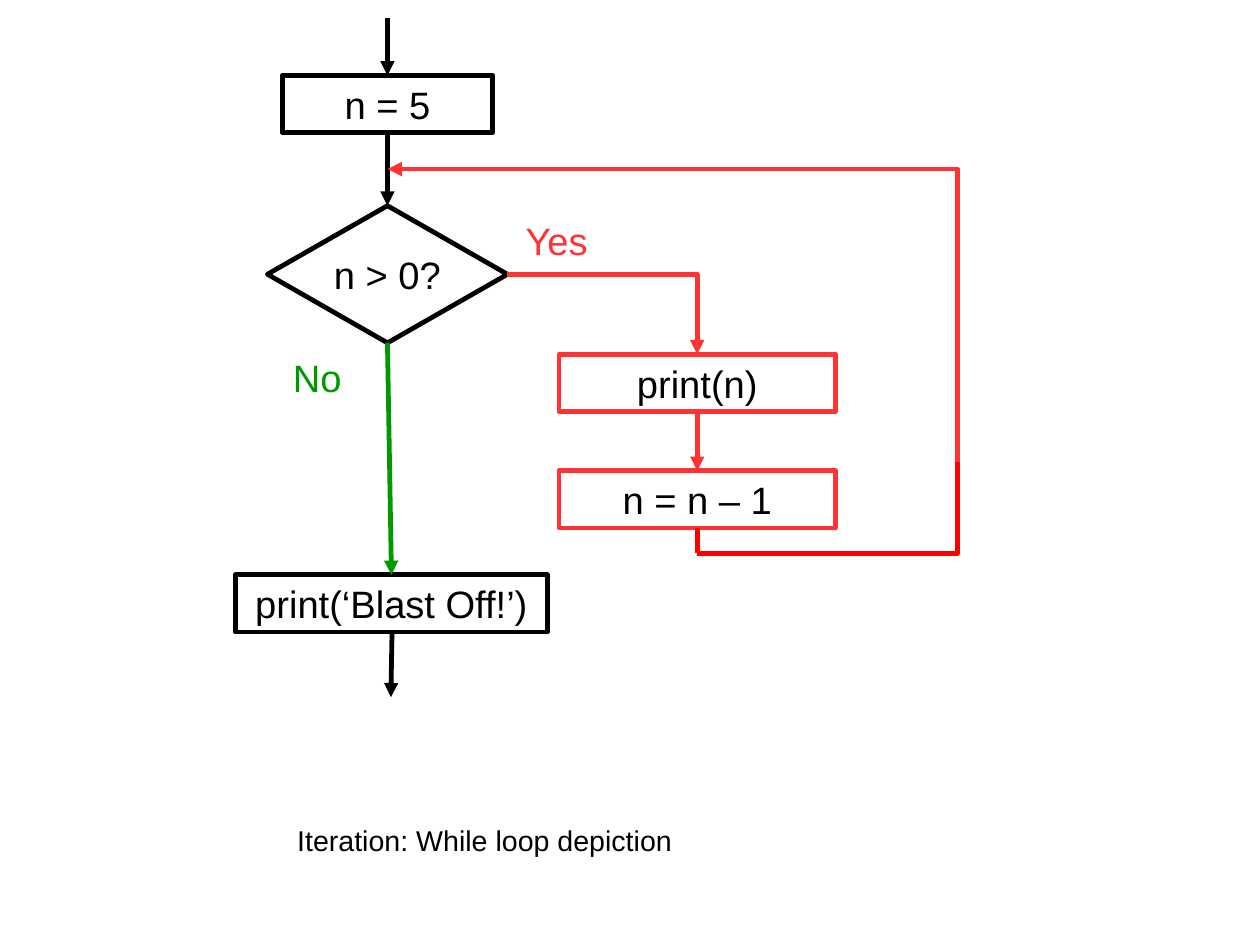
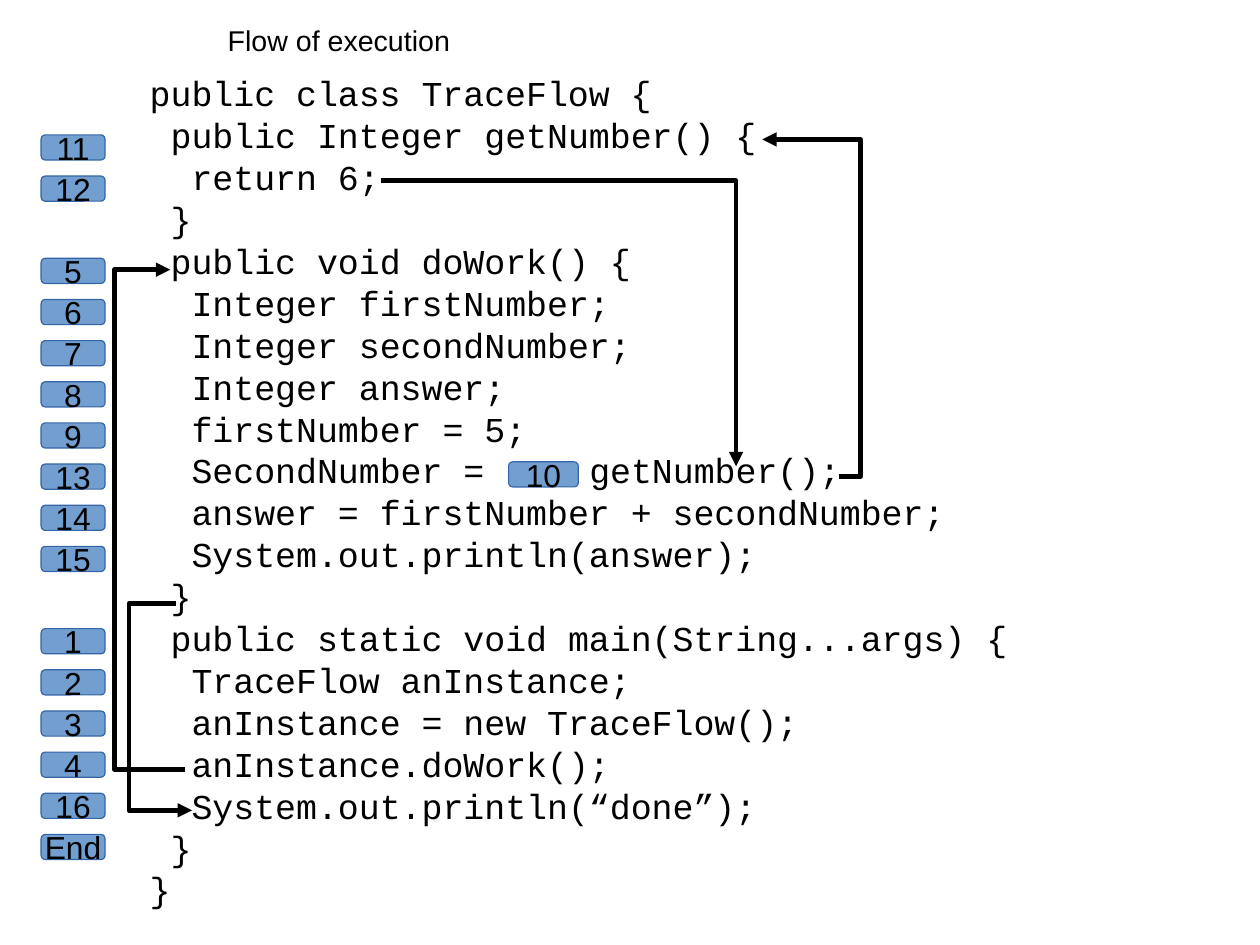
from pptx import Presentation
from pptx.dml.color import RGBColor
from pptx.enum.shapes import MSO_CONNECTOR, MSO_SHAPE
from pptx.enum.text import MSO_ANCHOR, MSO_AUTO_SIZE, PP_ALIGN
from pptx.oxml.ns import qn
from pptx.util import Cm, Inches, Pt
from lxml.etree import SubElement

COLORS = {
    "ink": "000000",
    "yes": "FF3333",
    "back": "FF0000",
    "no": "009900",
    "step": "729FCF",
    "step_edge": "3465A4",
}
SANS, MONO = "Arial", "Courier New"
CELL = 0.1  # inches; every position below counts grid cells
STROKE = 3
TOP, BOTTOM, RIGHT = 0, 2, 3  # connection sites

CODE_SIZE = 22
CHAR_POINTS = CODE_SIZE * 0.6
GAP_CHARS = 4  # extra width of the space that holds the badge
STEP_TOP, STEP_PITCH = 8.2, 3.6

# indent level, code (bars set off a widened space), step badge
LISTING = [
    (0, "public class TraceFlow {", ""),
    (1, "public Integer getNumber() {", "11"),
    (2, "return 6;", "12"),
    (1, "}", ""),
    (1, "public void doWork() {", "5"),
    (2, "Integer firstNumber;", "6"),
    (2, "Integer secondNumber;", "7"),
    (2, "Integer answer;", "8"),
    (2, "firstNumber = 5;", "9"),
    (2, "SecondNumber =| |getNumber();", "13"),
    (2, "answer = firstNumber + secondNumber;", "14"),
    (2, "System.out.println(answer);", "15"),
    (1, "}", ""),
    (1, "public static void main(String...args) {", "1"),
    (2, "TraceFlow anInstance;", "2"),
    (2, "anInstance = new TraceFlow();", "3"),
    (2, "anInstance.doWork();", "4"),
    (2, "System.out.println(“done”);", "16"),
    (1, "}", "End"),
    (0, "}", ""),
]


def cells(*counts):
    return [Inches(count * CELL) for count in counts]


def rgb(name):
    return RGBColor.from_string(COLORS[name])


def apply(target, formats):
    for attribute, value in formats.items():
        setattr(target, attribute, value)


def style_font(run, size, font=SANS, color="ink"):
    apply(run.font, {"size": Pt(size), "name": font, "bold": False})
    run.font.color.rgb = rgb(color)


def write(shape, text, size, color="ink", anchor=MSO_ANCHOR.MIDDLE):
    """Put one centred, unwrapped line into a shape."""
    frame = shape.text_frame
    apply(frame, {
        "text": text, "word_wrap": False, "auto_size": MSO_AUTO_SIZE.NONE,
        "vertical_anchor": anchor, "margin_left": 0, "margin_right": 0,
        "margin_top": 0, "margin_bottom": 0,
    })
    frame.paragraphs[0].alignment = PP_ALIGN.CENTER
    style_font(frame.paragraphs[0].runs[0], size, color=color)


def place(shape, box):
    apply(shape, dict(zip(("left", "top", "width", "height"), cells(*box))))


def add_caption(slide, text, box):
    place(slide.shapes.title, box)
    write(slide.shapes.title, text, 18, anchor=MSO_ANCHOR.TOP)


def add_label(slide, text, box, color):
    write(slide.shapes.add_textbox(*cells(*box)), text, 24, color, MSO_ANCHOR.TOP)


def add_node(slide, text, box, color="ink", outline=MSO_SHAPE.RECTANGLE):
    node = slide.shapes.add_shape(outline, *cells(*box))
    node.shadow.inherit = False
    node.fill.background()
    node.line.color.rgb = rgb(color)
    node.line.width = Pt(STROKE)
    write(node, text, 24)
    return node


def add_step(slide, text, box):
    step = slide.shapes.add_shape(MSO_SHAPE.ROUNDED_RECTANGLE, *cells(*box))
    step.shadow.inherit = False
    step.fill.solid()
    step.fill.fore_color.rgb = rgb("step")
    step.line.color.rgb = rgb("step_edge")
    step.line.width = Pt(0)
    write(step, text, 20)


def add_arrow(slide, start, end, color="ink", kind=MSO_CONNECTOR.STRAIGHT, tip="tailEnd"):
    """Draw a line; tip is the end that carries the arrowhead, or None."""
    arrow = slide.shapes.add_connector(kind, *cells(*start, *end))
    arrow.line.color.rgb = rgb(color)
    arrow.line.width = Pt(STROKE)
    properties = arrow._element.spPr
    if tip:
        SubElement(properties.find(qn("a:ln")), qn(f"a:{tip}"), type="triangle")
    SubElement(properties, qn("a:effectLst"))
    return arrow


def add_corner(slide, start, end, color="ink", tip="tailEnd"):
    """Draw an arrow that runs across, then turns once."""
    arrow = add_arrow(slide, start, end, color, MSO_CONNECTOR.ELBOW, tip)
    arrow._element.spPr.find(qn("a:prstGeom")).set("prst", "bentConnector2")
    return arrow


def add_detour(slide, start, end, via):
    """Draw an arrow that goes across to column via, along it, and back."""
    arrow = add_arrow(slide, start, end, kind=MSO_CONNECTOR.ELBOW)
    share = round((via - start[0]) / (end[0] - start[0]) * 100000)
    guides = arrow._element.spPr.find(qn("a:prstGeom")).get_or_add_avLst()
    SubElement(guides, qn("a:gd"), name="adj1", fmla=f"val {share}")


def glue(arrow, source, target, exit_site=BOTTOM):
    arrow.begin_connect(source, exit_site)
    arrow.end_connect(target, TOP)


def write_code(paragraph, level, code):
    apply(paragraph, {"line_spacing": Pt(26.4), "space_before": Pt(0),
                      "alignment": PP_ALIGN.LEFT})
    properties = paragraph._p.get_or_add_pPr()
    properties.set("marL", "0")
    properties.set("indent", str(level * Pt(CHAR_POINTS)))
    SubElement(properties, qn("a:buNone"))
    for piece in code.split("|"):
        run = paragraph.add_run()
        run.text = piece
        style_font(run, CODE_SIZE, MONO)
        if piece == " ":
            run._r.get_or_add_rPr().set("spc", str(round(GAP_CHARS * CHAR_POINTS * 100)))


def add_listing(body):
    place(body, (12.1, 5.8, 81.9, 75.1))
    frame = body.text_frame
    apply(frame, {"auto_size": MSO_AUTO_SIZE.NONE, "word_wrap": True,
                  "vertical_anchor": MSO_ANCHOR.TOP})
    for row, (level, code, _) in enumerate(LISTING):
        write_code(frame.add_paragraph() if row else frame.paragraphs[0], level, code)


def build_while_loop(deck):
    slide = deck.slides.add_slide(deck.slide_layouts[5])
    add_caption(slide, "Iteration: While loop depiction", (26, 72, 32.8, 2.8))

    start = add_node(slide, "n = 5", (24.7, 6.6, 18.4, 5))
    test = add_node(slide, "n > 0?", (23.4, 18, 21, 12), outline=MSO_SHAPE.DIAMOND)
    show = add_node(slide, "print(n)", (48.9, 31, 24.2, 5), "yes")
    count_down = add_node(slide, "n = n – 1", (48.9, 41.2, 24.2, 5), "yes")
    finish = add_node(slide, "print(‘Blast Off!’)", (20.6, 50.3, 27.3, 5))

    for source, target, color in ((start, test, "ink"), (show, count_down, "yes"),
                                  (test, finish, "no")):
        glue(add_arrow(slide, (0, 0), (1, 1), color), source, target)
    glue(add_corner(slide, (44.4, 24), (61, 31), "yes"), test, show, RIGHT)

    add_arrow(slide, (33.9, 1.6), (33.9, 6.6))
    add_arrow(slide, (34.3, 55.3), (34.2, 61))
    add_corner(slide, (33.9, 14.8), (83.8, 40.4), "yes", "headEnd")
    add_arrow(slide, (61, 46.2), (61, 48.4), "back", tip=None)
    add_corner(slide, (61, 48.4), (83.8, 40.4), "back", None)

    add_label(slide, "Yes", (46, 19, 5.4, 3.7), "yes")
    add_label(slide, "No", (25.6, 31, 4.3, 3.7), "no")


def build_trace(deck):
    slide = deck.slides.add_slide(deck.slide_layouts[1])
    add_caption(slide, "Flow of execution", (1.3, 2, 56.7, 2.8))
    add_listing(slide.placeholders[1])

    add_detour(slide, (73.4, 41.7), (66.7, 12.2), 75.3)
    add_corner(slide, (33.3, 15.8), (64.4, 40.8))
    add_detour(slide, (16.2, 67.3), (14.9, 23.6), 10)
    add_detour(slide, (15.4, 52.8), (16.8, 70.9), 11.3)

    add_step(slide, "10", (44.5, 40.4, 6.1, 2.2))
    for row, (_, _, step) in enumerate(LISTING):
        if step:
            add_step(slide, step, (3.6, STEP_TOP + row * STEP_PITCH, 5.6, 2.2))


def main():
    deck = Presentation()
    apply(deck, {"slide_width": Cm(28), "slide_height": Cm(21)})
    build_while_loop(deck)
    build_trace(deck)
    deck.save("out.pptx")


if __name__ == "__main__":
    main()
